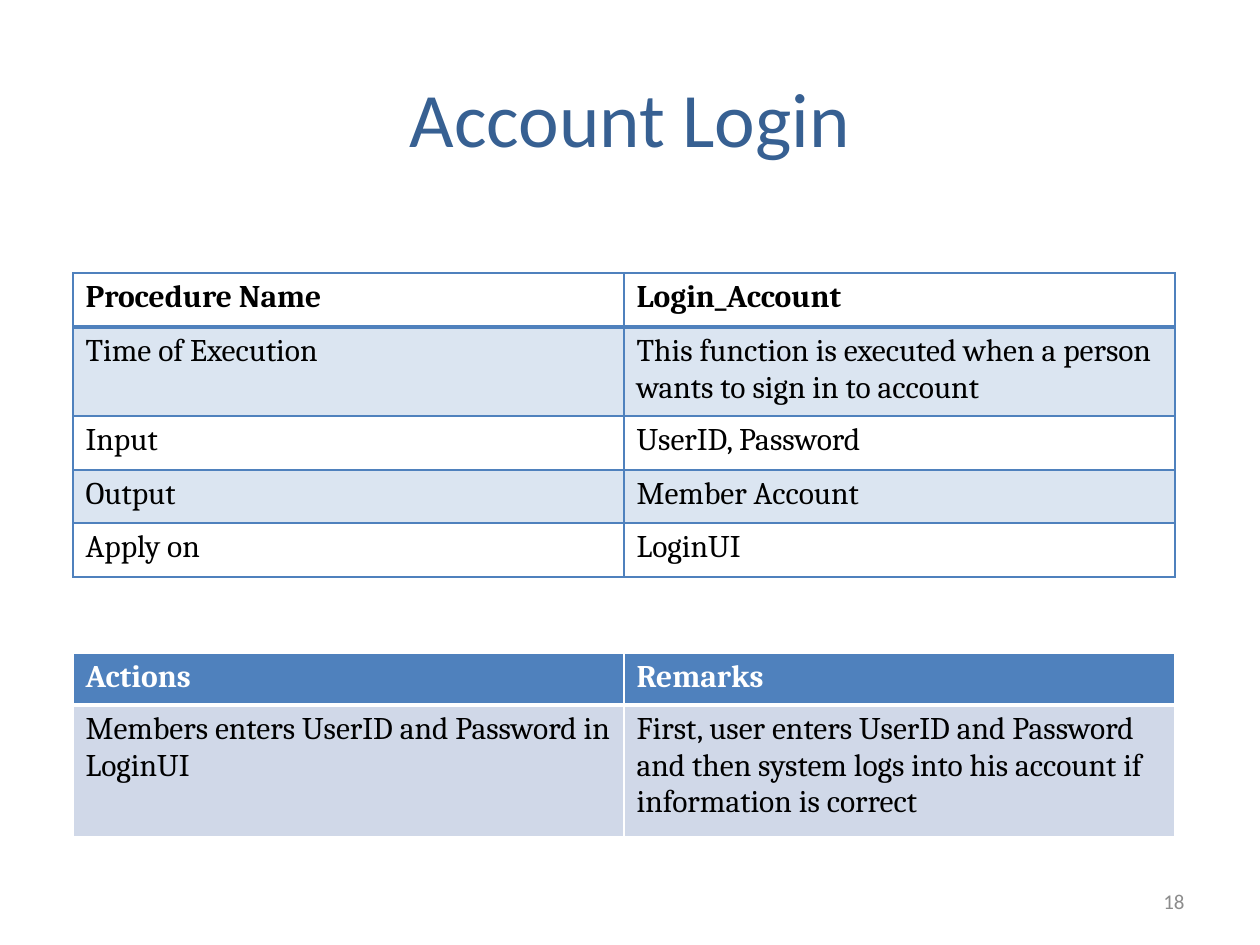
from lxml import etree
from pptx import Presentation
from pptx.dml.color import RGBColor
from pptx.enum.text import MSO_ANCHOR, PP_ALIGN
from pptx.oxml.ns import qn
from pptx.util import Emu, Pt

MIDDLE = MSO_ANCHOR.MIDDLE
CENTER, RIGHT = PP_ALIGN.CENTER, PP_ALIGN.RIGHT
PX = 7257.6
BLUE, BLACK, WHITE = "4F81BD", "000000", "FFFFFF"
TABLE_LEFT, TABLE_WIDTH = 73, 1102

TITLE = "Account Login"
PAGE_NUMBER = "18"
TABLES = [
    {
        "top": 273,
        "heights": [54, 89, 54, 53, 54],
        "border": BLUE,
        "header_line": 2,
        "header_color": BLACK,
        "header_fill": None,
        "body_fills": [(BLUE, 20), None],
        "rows": [
            ("Procedure Name", "Login_Account"),
            ("Time of Execution", "This function is executed when a person wants to sign in to account"),
            ("Input", "UserID, Password"),
            ("Output", "Member Account"),
            ("Apply on", "LoginUI"),
        ],
    },
    {
        "top": 653,
        "heights": [52, 132],
        "border": WHITE,
        "header_line": 3,
        "header_color": WHITE,
        "header_fill": (BLUE, 100),
        "body_fills": [("D0D8E8", 100)],
        "rows": [
            ("Actions", "Remarks"),
            (
                "Members enters UserID and Password in LoginUI",
                "First, user enters UserID and Password and then system logs into his account "
                "if information is correct",
            ),
        ],
    },
]


def px(length):
    return Emu(round(length * PX))


def rgb(value):
    return RGBColor.from_string(value)


def write(text_frame, text, font="Cambria", size=18, color=BLACK, bold=False, align=None):
    paragraph = text_frame.paragraphs[0]
    paragraph.alignment = align
    run = paragraph.add_run()
    run.text = text
    run.font.name = font
    run.font.size = Pt(size)
    run.font.bold = bold
    run.font.color.rgb = rgb(color)


def set_borders(cell, color, widths):
    properties = cell._tc.get_or_add_tcPr()
    for side, width in zip("LRTB", widths):
        line = etree.SubElement(properties, qn(f"a:ln{side}"), w=str(Pt(width)))
        fill = etree.SubElement(line, qn("a:solidFill"))
        etree.SubElement(fill, qn("a:srgbClr"), val=color)


def set_fill(cell, fill):
    if fill is None:
        cell.fill.background()
        return
    color, opacity = fill
    cell.fill.solid()
    cell.fill.fore_color.rgb = rgb(color)
    if opacity < 100:
        color_element = cell._tc.tcPr.find(f"{qn('a:solidFill')}/{qn('a:srgbClr')}")
        etree.SubElement(color_element, qn("a:alpha"), val=str(opacity * 1000))


def add_table(slide, spec):
    rows, heights = spec["rows"], spec["heights"]
    frame = slide.shapes.add_table(
        len(rows), 2, px(TABLE_LEFT), px(spec["top"]), px(TABLE_WIDTH), px(sum(heights))
    )
    table = frame.table
    body_fills = spec["body_fills"]
    for row_index, (texts, height) in enumerate(zip(rows, heights)):
        header = row_index == 0
        table.rows[row_index].height = px(height)
        fill = spec["header_fill"] if header else body_fills[(row_index - 1) % len(body_fills)]
        top_width = spec["header_line"] if row_index == 1 else 1
        bottom_width = spec["header_line"] if header else 1
        for column_index, text in enumerate(texts):
            cell = table.cell(row_index, column_index)
            set_borders(cell, spec["border"], (1, 1, top_width, bottom_width))
            set_fill(cell, fill)
            write(cell.text_frame, text, bold=header, color=spec["header_color"] if header else BLACK)


def main():
    """Build the account login slide."""
    presentation = Presentation()
    presentation.slide_width, presentation.slide_height = px(1260), px(945)
    slide = presentation.slides.add_slide(presentation.slide_layouts[5])

    for spec in TABLES:
        add_table(slide, spec)

    title = slide.shapes.title
    title.left, title.top, title.width, title.height = map(px, (63, 38, 1134, 157))
    title.text_frame.vertical_anchor = MIDDLE
    write(title.text_frame, TITLE, font="Calibri", size=44, color="376092", align=CENTER)

    number = slide.shapes.add_textbox(*map(px, (903, 876, 294, 50))).text_frame
    number.word_wrap = True
    number.vertical_anchor = MIDDLE
    write(number, PAGE_NUMBER, font="Calibri", size=12, color="8C8C8C", align=RIGHT)

    presentation.save("out.pptx")


if __name__ == "__main__":
    main()
